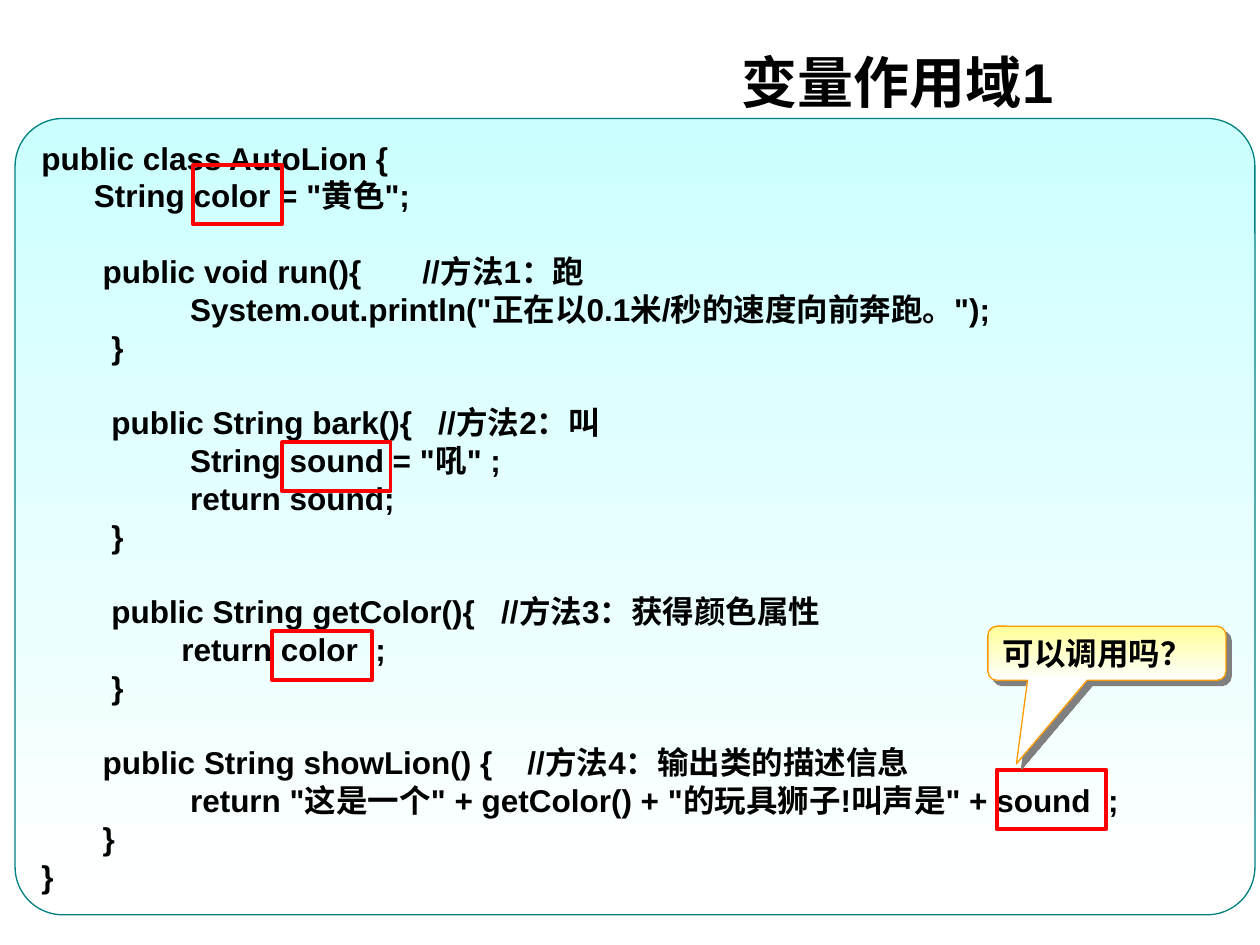
from lxml import etree
from pptx import Presentation
from pptx import util as u
from pptx.dml.color import RGBColor
from pptx.enum import shapes, text
from pptx.oxml import ns

WIDTH, HEIGHT = 10, 7.5
LINE_PITCH = 21.6
CODE_BLOCKS = [
    ['public class AutoLion {',
     '      String color = "黄色";'],
    ['       public void run(){       //方法1：跑',
     '                 System.out.println("正在以0.1米/秒的速度向前奔跑。");',
     '        }'],
    ['        public String bark(){   //方法2：叫',
     '                 String sound = "吼" ;',
     '                 return sound;',
     '        }'],
    ['        public String getColor(){   //方法3：获得颜色属性',
     '                return color  ;',
     '        }'],
    ['       public String showLion() {    //方法4：输出类的描述信息',
     '                 return "这是一个" + getColor() + "的玩具狮子!叫声是" + sound  ;',
     '       }',
     '}'],
]
VARIABLE_MARKS = [
    (1.53, 1.31, 0.71, 0.47),
    (2.24, 3.51, 0.86, 0.39),
    (7.91, 6.11, 0.87, 0.47),
    (2.16, 5.01, 0.79, 0.39),
]


def color(hex_code):
    """Turn a hex string into a colour."""
    return RGBColor.from_string(hex_code)


def write(paragraph, words, size):
    """Put bold black words into a paragraph."""
    paragraph.text = words
    for run in paragraph.runs:
        run.font.name = "Arial"
        run.font.size = u.Pt(size)
        run.font.bold = True
        run.font.color.rgb = color("000000")


def add_outline(slide, kind, box, line, weight):
    """Add an unfilled preset shape with a coloured line."""
    outline = slide.shapes.add_shape(kind, *map(u.Inches, box))
    outline.shadow.inherit = False
    outline.fill.background()
    outline.line.color.rgb = color(line)
    outline.line.width = u.Pt(weight)
    return outline


def fade(panel, top):
    """Fill a shape from a top colour down to white."""
    panel.fill.gradient()
    panel.fill.gradient_angle = 270
    for stop, shade in zip(panel.fill.gradient_stops, (top, "FFFFFF")):
        stop.color.rgb = color(shade)


def cast_shadow(panel):
    """Give a shape a hard grey shadow to the lower right."""
    effects = panel.element.spPr.find(ns.qn("a:effectLst"))
    shadow = etree.SubElement(effects, ns.qn("a:outerShdw"), dist=str(u.Pt(4.2)),
                              dir="2700000", algn="ctr", rotWithShape="0")
    etree.SubElement(shadow, ns.qn("a:srgbClr"), val="808080")


def add_title(slide, words):
    """Place the slide title."""
    title = slide.shapes.title
    title.left, title.top, title.width, title.height = map(u.Inches, (4.21, 0.33, 4.25, 0.63))
    title.text_frame.vertical_anchor = text.MSO_ANCHOR.MIDDLE
    heading = title.text_frame.paragraphs[0]
    write(heading, words, 32)
    heading.alignment = text.PP_ALIGN.RIGHT


def add_code(slide, blocks):
    """Add the code panel, with one line of space between blocks."""
    panel = add_outline(slide, shapes.MSO_SHAPE.ROUNDED_RECTANGLE,
                        (0.12, 0.94, 9.84, 6.32), "008080", 0.75)
    panel.adjustments[0] = 0.06
    fade(panel, "CCFFFF")
    frame = panel.text_frame
    frame.vertical_anchor = text.MSO_ANCHOR.MIDDLE
    frame.text = "\n".join(row for block in blocks for row in block)
    rows = iter(frame.paragraphs)
    for number, block in enumerate(blocks):
        for place, words in enumerate(block):
            row = next(rows)
            write(row, words, 18)
            row.alignment = text.PP_ALIGN.LEFT
            row.line_spacing = u.Pt(LINE_PITCH)
            if number and not place:
                row.space_before = u.Pt(LINE_PITCH)


def add_callout(slide, words):
    """Add the question that points at the last variable."""
    callout = add_outline(slide, shapes.MSO_SHAPE.ROUNDED_RECTANGULAR_CALLOUT,
                          (7.84, 4.97, 1.89, 0.43), "FF9900", 0.75)
    for place, value in enumerate((-0.38, 2.04, 0.17)):
        callout.adjustments[place] = value
    fade(callout, "FFFF99")
    cast_shadow(callout)
    callout.text_frame.vertical_anchor = text.MSO_ANCHOR.MIDDLE
    question = callout.text_frame.paragraphs[0]
    write(question, words, 18)
    question.alignment = text.PP_ALIGN.LEFT


def main():
    """Build and save the slide."""
    deck = Presentation()
    deck.slide_width, deck.slide_height = u.Inches(WIDTH), u.Inches(HEIGHT)
    slide = deck.slides.add_slide(deck.slide_layouts.get_by_name("Title Only"))
    add_title(slide, "变量作用域1")
    add_code(slide, CODE_BLOCKS)
    for box in VARIABLE_MARKS:
        add_outline(slide, shapes.MSO_SHAPE.RECTANGLE, box, "FF0000", 2.25)
    add_callout(slide, "可以调用吗？")
    deck.save("out.pptx")


if __name__ == "__main__":
    main()
